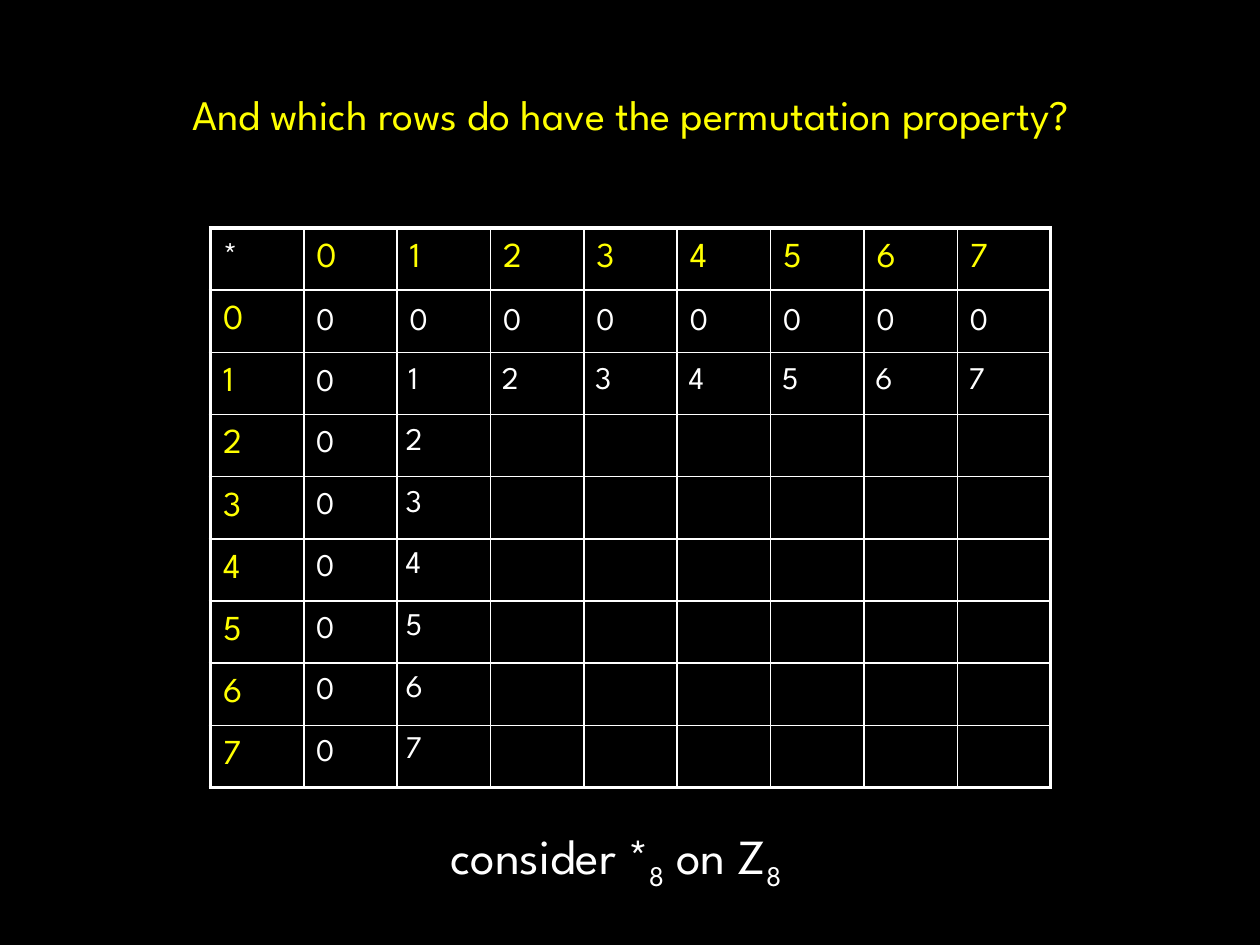
"""Build a slide with the multiplication table of Z8 and a question about its rows."""
import dataclasses

import lxml.etree
import pptx
import pptx.dml.color
import pptx.enum.text
import pptx.oxml.ns
import pptx.util

Inches = pptx.util.Inches
Pt = pptx.util.Pt
RGBColor = pptx.dml.color.RGBColor


@dataclasses.dataclass(frozen=True)
class Theme:
    """Colours, font and type sizes of the slide."""

    font: str = "League Spartan"
    background: RGBColor = RGBColor(0, 0, 0)
    text: RGBColor = RGBColor(255, 255, 255)
    accent: RGBColor = RGBColor(255, 255, 0)
    title_size: int = 24
    caption_size: int = 28
    header_size: int = 20
    value_size: int = 18
    outer_line: float = 2.25
    inner_line: float = 1
    table_style: str = "{2D5ABB26-0587-4C30-8999-92F81FD0307C}"


THEME = Theme()
DIGITS = [str(number) for number in range(8)]
COLUMN_WIDTH = 6.67 / 9
ROW_HEIGHT = 4.44 / 9


def add_run(paragraph, text, size, color, subscript=False):
    """Add one formatted run to a paragraph."""
    run = paragraph.add_run()
    run.text = text
    run.font.name = THEME.font
    run.font.size = Pt(size)
    run.font.color.rgb = color
    if subscript:
        run.font._element.set("baseline", "-25000")


def format_line_of_text(shape, left, top, width, height):
    """Place a one-line text shape and return its centred paragraph."""
    shape.left, shape.top = Inches(left), Inches(top)
    shape.width, shape.height = Inches(width), Inches(height)
    frame = shape.text_frame
    frame.word_wrap = False
    frame.auto_size = pptx.enum.text.MSO_AUTO_SIZE.SHAPE_TO_FIT_TEXT
    frame.vertical_anchor = pptx.enum.text.MSO_ANCHOR.TOP
    paragraph = frame.paragraphs[0]
    paragraph.alignment = pptx.enum.text.PP_ALIGN.CENTER
    return paragraph


def add_title(slide):
    """Fill the title placeholder with the question."""
    paragraph = format_line_of_text(slide.shapes.title, 0.77, 0.65, 8.47, 0.5)
    add_run(paragraph, "And which rows do have the permutation property?",
            THEME.title_size, THEME.accent)


def add_caption(slide):
    """Add the line below the table that names the operation."""
    shape = slide.shapes.add_textbox(0, 0, 0, 0)
    paragraph = format_line_of_text(shape, 3.21, 6.5, 3.36, 0.57)
    for text, subscript in [("consider *", False), ("8", True), (" on Z", False), ("8", True)]:
        add_run(paragraph, text, THEME.caption_size, THEME.text, subscript)


def add_plain_table(slide, left, top, column_width, row_height, values):
    """Add an unstyled table of small values given as rows of text."""
    rows, columns = len(values), len(values[0])
    frame = slide.shapes.add_table(
        rows, columns, Inches(left), Inches(top),
        Inches(column_width * columns), Inches(row_height * rows))
    table = frame.table
    table.first_row = table.horz_banding = False
    style = table._tbl.tblPr.find(pptx.oxml.ns.qn("a:tableStyleId"))
    style.text = THEME.table_style
    for column in table.columns:
        column.width = Inches(column_width)
    for row, texts in zip(table.rows, values):
        row.height = Inches(row_height)
        for cell, text in zip(row.cells, texts):
            cell.vertical_anchor = pptx.enum.text.MSO_ANCHOR.MIDDLE
            cell.fill.background()
            paragraph = cell.text_frame.paragraphs[0]
            paragraph.font.size = Pt(THEME.value_size)
            if text:
                add_run(paragraph, text, THEME.value_size, THEME.text)
    return table


def set_borders(cell, widths):
    """Draw the cell borders from a mapping of side to line width."""
    properties = cell._tc.get_or_add_tcPr()
    for position, (side, width) in enumerate(widths.items()):
        line = lxml.etree.Element(pptx.oxml.ns.qn(f"a:ln{side}"), w=str(Pt(width)))
        fill = lxml.etree.SubElement(line, pptx.oxml.ns.qn("a:solidFill"))
        lxml.etree.SubElement(fill, pptx.oxml.ns.qn("a:srgbClr"), val=str(THEME.text))
        properties.insert(position, line)


def add_grid(slide):
    """Add the bordered table with the operation and its headings."""
    values = [["*"] + DIGITS] + [[digit] + [""] * 8 for digit in DIGITS]
    table = add_plain_table(slide, 1.67, 1.81, COLUMN_WIDTH, ROW_HEIGHT, values)
    for row in range(9):
        for column in range(9):
            cell = table.cell(row, column)
            cell.fill.solid()
            cell.fill.fore_color.rgb = THEME.background
            on_edge = {"L": column == 0, "R": column == 8, "T": row == 0, "B": row == 8}
            set_borders(cell, {side: THEME.outer_line if edge else THEME.inner_line
                               for side, edge in on_edge.items()})
            for run in cell.text_frame.paragraphs[0].runs:
                run.font.size = Pt(THEME.header_size)
                run.font.color.rgb = THEME.accent if row or column else THEME.text


def main():
    """Build and save the slide."""
    presentation = pptx.Presentation()
    presentation.slide_width, presentation.slide_height = Inches(10), Inches(7.5)
    slide = presentation.slides.add_slide(presentation.slide_layouts[5])
    slide.background.fill.solid()
    slide.background.fill.fore_color.rgb = THEME.background
    add_title(slide)
    add_grid(slide)
    add_caption(slide)
    row_of_zero = [[""] + ["0"] * 8]
    row_of_one = [["", ""] + DIGITS[1:]]
    column_of_zero = [[""]] + [["0"]] * 7
    column_of_one = [[""], [""]] + [[digit] for digit in DIGITS[2:]]
    add_plain_table(slide, 1.67, 2.36, COLUMN_WIDTH, 0.41, row_of_zero)
    add_plain_table(slide, 1.66, 2.83, COLUMN_WIDTH, 0.41, row_of_one)
    add_plain_table(slide, 2.41, 2.31, 0.76, 0.49, column_of_zero)
    add_plain_table(slide, 3.12, 2.29, 0.76, 0.49, column_of_one)
    presentation.save("out.pptx")


if __name__ == "__main__":
    main()
